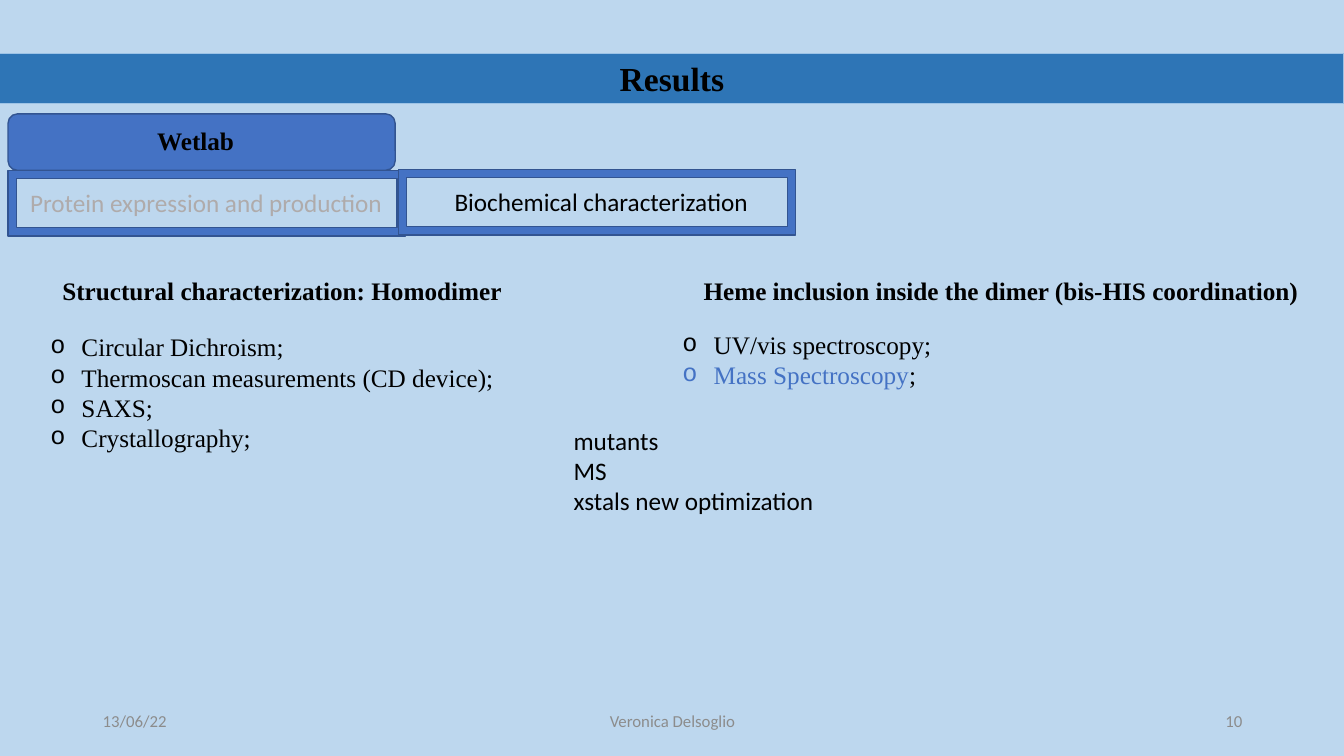
from lxml import etree
from pptx import Presentation
from pptx.dml.color import RGBColor
from pptx.enum.shapes import MSO_SHAPE
from pptx.enum.text import MSO_ANCHOR, PP_ALIGN
from pptx.oxml.ns import qn
from pptx.util import Inches, Pt

LEFT, CENTER, RIGHT = PP_ALIGN.LEFT, PP_ALIGN.CENTER, PP_ALIGN.RIGHT
TOP, MIDDLE = MSO_ANCHOR.TOP, MSO_ANCHOR.MIDDLE
RECTANGLE, ROUNDED, FRAME = MSO_SHAPE.RECTANGLE, MSO_SHAPE.ROUNDED_RECTANGLE, MSO_SHAPE.FRAME

SANS, SERIF = "Calibri", "Times New Roman"
BLACK, GRAY, FADED = "000000", "8C8C8C", "AFABAB"
BLUE, EDGE = "4472C4", "325491"


def color(value):
    return RGBColor.from_string(value)


def add_bullet(para):
    """Hang a round letter bullet in front of the paragraph."""
    properties = para._p.get_or_add_pPr()
    properties.set("marL", str(Inches(0.31)))
    properties.set("indent", str(Inches(-0.31)))
    etree.SubElement(properties, qn("a:buFont")).set("typeface", "Courier New")
    etree.SubElement(properties, qn("a:buChar")).set("char", "o")


def write(frame, lines, font=SANS, size=18, ink=BLACK, bold=False,
          align=LEFT, anchor=TOP, wrap=True, bullets=False):
    """Write lines; a line is a string or a list of (text, colour) pairs."""
    frame.word_wrap = wrap
    frame.vertical_anchor = anchor
    for index, line in enumerate(lines):
        para = frame.add_paragraph() if index else frame.paragraphs[0]
        if bullets:
            add_bullet(para)
        para.alignment = align
        for text, tint in [(line, ink)] if isinstance(line, str) else line:
            span = para.add_run()
            span.text = text
            span.font.name = font
            span.font.size = Pt(size)
            span.font.bold = bold
            span.font.color.rgb = color(tint)


def add_text(page, left, top, width, height, *lines, **style):
    box = page.shapes.add_textbox(Inches(left), Inches(top), Inches(width), Inches(height))
    write(box.text_frame, lines, **style)


def add_block(page, kind, left, top, width, height, fill=BLUE, line=EDGE, weight=1):
    block = page.shapes.add_shape(kind, Inches(left), Inches(top), Inches(width), Inches(height))
    block.shadow.inherit = False
    block.fill.solid()
    block.fill.fore_color.rgb = color(fill)
    block.line.color.rgb = color(line)
    block.line.width = Pt(weight)
    return block


def main():
    deck = Presentation()
    deck.slide_width, deck.slide_height = Inches(13.33), Inches(7.5)
    page = deck.slides.add_slide(deck.slide_layouts[6])
    page.background.fill.solid()
    page.background.fill.fore_color.rgb = color("BDD7EE")

    # Footer
    for left, width, text, align in [(0.92, 3, "13/06/22", LEFT),
                                     (4.42, 4.5, "Veronica Delsoglio", CENTER),
                                     (9.42, 3, "10", RIGHT)]:
        add_text(page, left, 6.95, width, 0.4, text,
                 size=12, ink=GRAY, align=align, anchor=MIDDLE)

    # Title band
    band = add_block(page, RECTANGLE, 0, 0.53, 13.33, 0.5, "2E75B6", "9DC3E6", 0.75)
    write(band.text_frame, ["Results"], font=SERIF, size=24, bold=True, align=CENTER)

    # Section tabs
    add_block(page, FRAME, 0.08, 1.69, 3.94, 0.65)
    add_text(page, 0.2, 1.81, 3.74, 0.4, "Protein expression and production",
             ink=FADED, wrap=False)
    add_block(page, FRAME, 3.95, 1.68, 3.94, 0.65)
    add_text(page, 4.41, 1.8, 3.14, 0.4, "Biochemical characterization", wrap=False)
    add_block(page, ROUNDED, 0.08, 1.13, 3.84, 0.56)
    add_text(page, 1.46, 1.19, 0.97, 0.4, "Wetlab", font=SERIF, bold=True, wrap=False)

    # Structural column
    add_text(page, 0.52, 2.68, 5.08, 0.4, "Structural characterization: Homodimer",
             font=SERIF, bold=True)
    add_text(page, 0.4, 3.24, 7.22, 1.31, "Circular Dichroism;",
             "Thermoscan measurements (CD device);", "SAXS;", "Crystallography;",
             font=SERIF, bullets=True)

    # Heme column
    add_text(page, 6.88, 2.68, 6.46, 0.4,
             "Heme inclusion inside the dimer (bis-HIS coordination)",
             font=SERIF, bold=True)
    add_text(page, 6.67, 3.22, 7.22, 0.71, "UV/vis spectroscopy;",
             [("Mass Spectroscopy", BLUE), (";", BLACK)], font=SERIF, bullets=True)

    # Open points
    add_text(page, 5.59, 4.17, 4.11, 1.31, "mutants", "MS", "xstals new optimization")

    deck.save("out.pptx")


if __name__ == "__main__":
    main()
